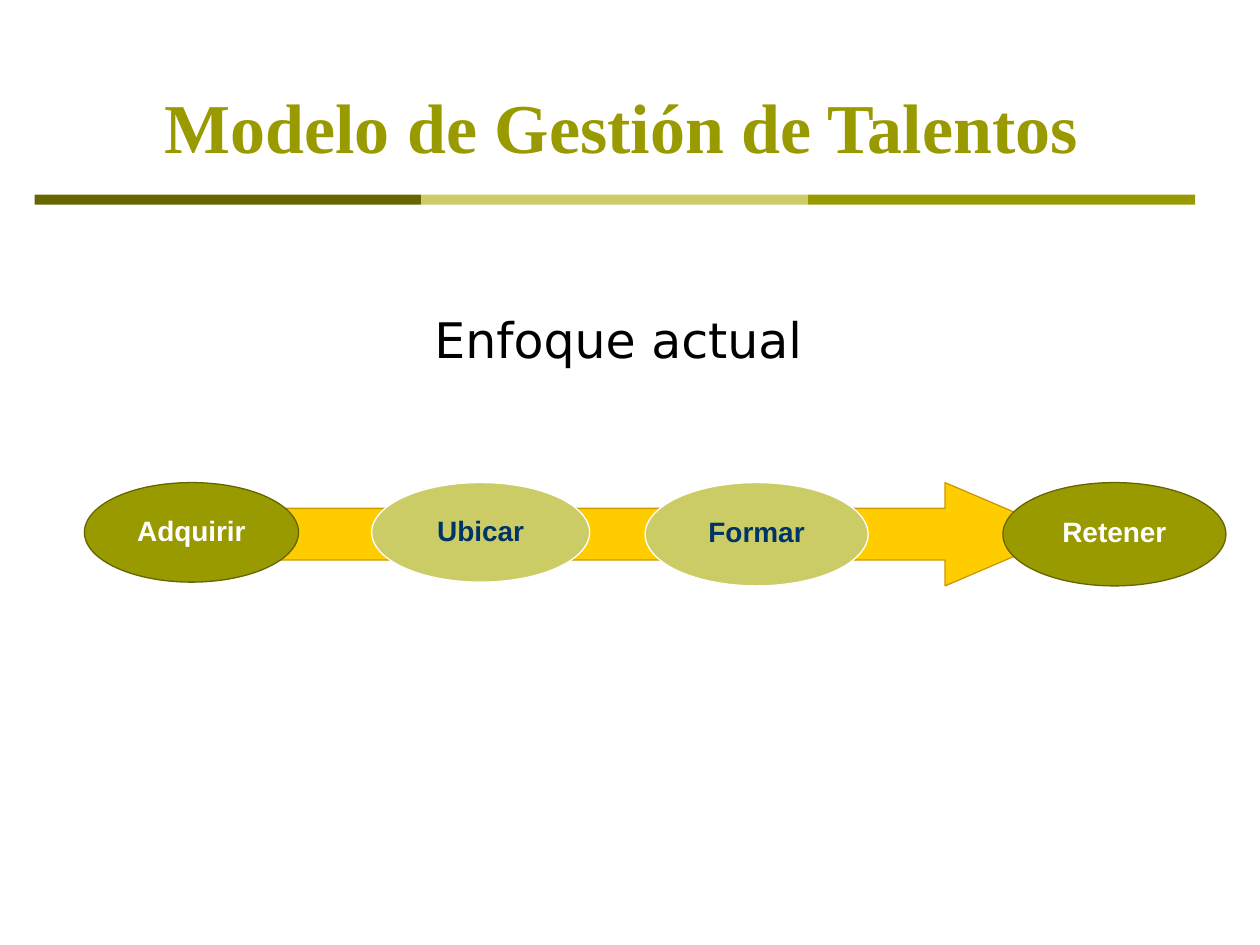
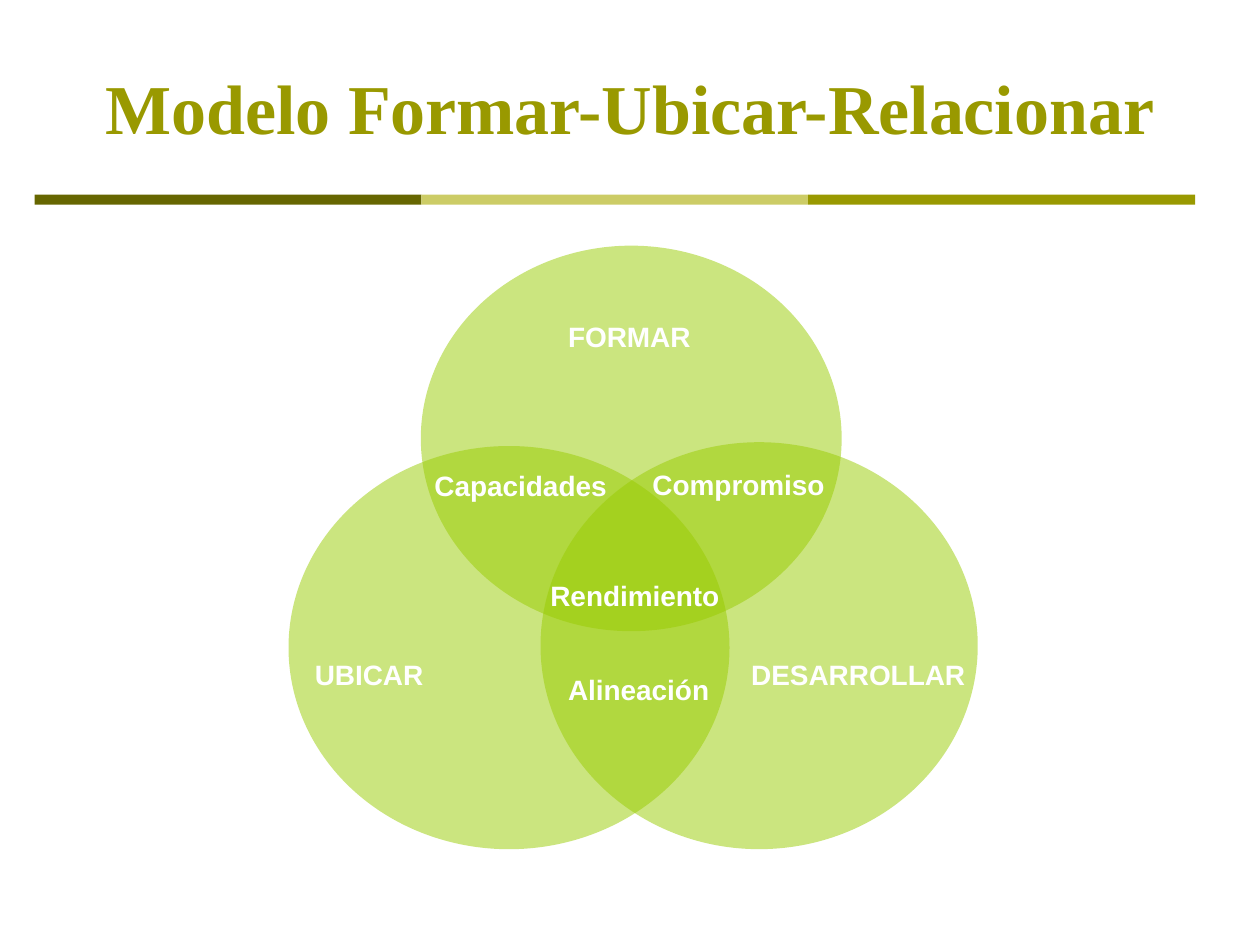
import pptx
import pptx.dml.color
import pptx.enum.shapes
import pptx.enum.text
import pptx.oxml.ns
import pptx.util
from lxml import etree

SHAPE = pptx.enum.shapes.MSO_SHAPE
ALIGN = pptx.enum.text.PP_ALIGN
ANCHOR = pptx.enum.text.MSO_ANCHOR

# Shared look: a grid of 100 columns by 75 rows, colours and text formats
UNIT = pptx.util.Inches(0.1)
OLIVE, DARK_OLIVE, PALE_OLIVE = "999900", "666600", "CCCC66"
WHITE, NAVY, LIME = "FFFFFF", "003366", "99CC00"
TITLE = {"name": "Times New Roman", "size": pptx.util.Pt(40), "bold": True}
SUBTITLE = {"name": "DejaVu Sans", "size": pptx.util.Pt(28), "bold": False}
LABEL = {"name": "Arial", "size": pptx.util.Pt(16), "bold": True}


def ink(code):
    return pptx.dml.color.RGBColor.from_string(code)


def add_piece(page, grid, preset=None, fill=None, line=None, words="",
              style=LABEL, color=WHITE, align=ALIGN.CENTER, anchor=ANCHOR.TOP):
    """Place a shape, or a text box when no preset is given, in grid units."""
    place = [round(UNIT * number) for number in grid]
    if preset is None:
        piece = page.shapes.add_textbox(*place)
    else:
        piece = page.shapes.add_shape(preset, *place)
        piece.shadow.inherit = False
        piece.fill.solid()
        piece.fill.fore_color.rgb = ink(fill)
        if line:
            piece.line.color.rgb = ink(line)
            piece.line.width = pptx.util.Pt(0.75)
        else:
            piece.line.fill.background()
    if words:
        frame = piece.text_frame
        frame.word_wrap = True
        frame.vertical_anchor = anchor
        para = frame.paragraphs[0]
        para.alignment = align
        span = para.add_run()
        span.text = words
        for name, value in style.items():
            setattr(span.font, name, value)
        span.font.color.rgb = ink(color)
    return piece


deck = pptx.Presentation()
deck.slide_width, deck.slide_height = UNIT * 100, UNIT * 75

# Titles and the three-part rule below them
pages = []
for title, grid in [
    ("Modelo de Gestión de Talentos", (4.3, 1.3, 90, 12.5)),
    ("Modelo Formar-Ubicar-Relacionar", (5, 3.1, 90, 9.2)),
]:
    page = deck.slides.add_slide(deck.slide_layouts[6])
    add_piece(page, grid, words=title, style=TITLE, color=OLIVE, anchor=ANCHOR.BOTTOM)
    for column, band in enumerate([DARK_OLIVE, PALE_OLIVE, OLIVE]):
        add_piece(page, (2.75 + 30.7 * column, 15.45, 30.7, 0.8), SHAPE.RECTANGLE, band)
    pages.append(page)
process, venn = pages

# Process: arrow with four stages on it
add_piece(process, (33.5, 24.1, 32.3, 5.7), words="Enfoque actual",
          style=SUBTITLE, color="000000", align=ALIGN.LEFT)
arrow = add_piece(process, (16.1, 38.3, 68.5, 8.2), SHAPE.RIGHT_ARROW, "FFCC00", "CC9900")
arrow.adjustments[0], arrow.adjustments[1] = 0.5, 1.17

END = {"fill": OLIVE, "line": DARK_OLIVE, "color": WHITE}
MIDDLE = {"fill": PALE_OLIVE, "line": WHITE, "color": NAVY}
for stage, left, width, height, look in [
    ("Adquirir", 6.7, 17, 7.9, END),
    ("Ubicar", 29.5, 17.3, 7.9, MIDDLE),
    ("Formar", 51.2, 17.7, 8.2, MIDDLE),
    ("Retener", 79.6, 17.7, 8.2, END),
]:
    oval = add_piece(process, (left, 38.3, width, height), SHAPE.OVAL, words=stage, **look)
    oval.text_frame.margin_top = round(UNIT * 1.3)

# Venn diagram: three half-transparent circles
for grid in [(33.4, 19.5, 33.4, 30.6), (22.9, 35.4, 35, 32), (42.9, 35.1, 34.7, 32.3)]:
    circle = add_piece(venn, grid, SHAPE.OVAL, LIME)
    tint = circle.fill._xPr.find(".//" + pptx.oxml.ns.qn("a:srgbClr"))
    etree.SubElement(tint, pptx.oxml.ns.qn("a:alpha"), val="50000")

# Names of the circles and of their overlaps
for words, grid, align in [
    ("Capacidades", (33.5, 36.7, 15.7, 4.7), ALIGN.LEFT),
    ("Compromiso", (50.8, 36.6, 15.9, 4.1), ALIGN.LEFT),
    ("Rendimiento", (42.7, 45.4, 15.7, 4.3), ALIGN.LEFT),
    ("Alineación", (44.1, 52.9, 13.8, 4.3), ALIGN.LEFT),
    ("FORMAR", (42.1, 24.9, 15.7, 4.7), ALIGN.CENTER),
    ("UBICAR", (24, 51.7, 15.7, 4.7), ALIGN.LEFT),
    ("DESARROLLAR", (56.3, 51.7, 21.3, 4.7), ALIGN.RIGHT),
]:
    add_piece(venn, grid, words=words, align=align)

deck.save("out.pptx")
